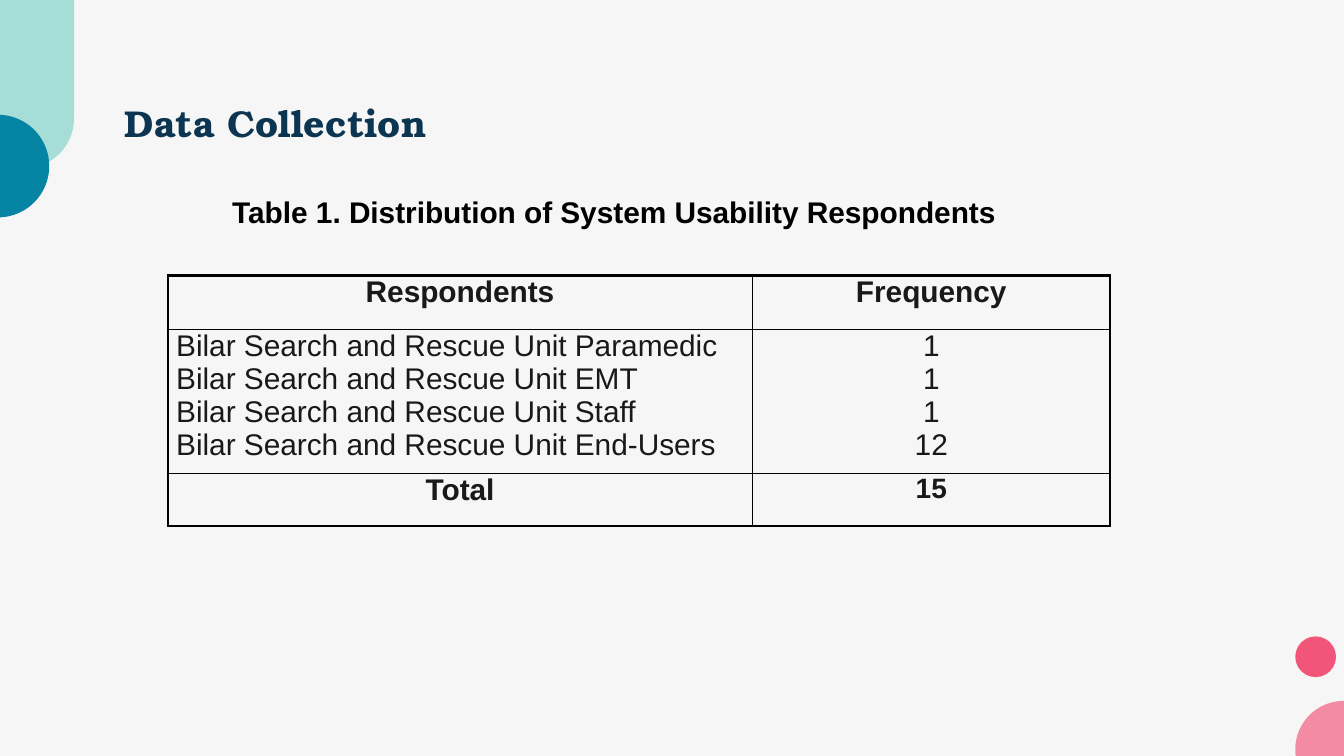
from lxml import etree
from pptx import Presentation, util as u
from pptx.dml.color import RGBColor
from pptx.enum import shapes, text
from pptx.oxml import ns

Cm, Pt = u.Cm, u.Pt
CENTER, LEFT = text.PP_ALIGN.CENTER, text.PP_ALIGN.LEFT


def color(value):
    return RGBColor.from_string(value)


def write(frame, lines, align, name, size, ink, bold):
    for number, line in enumerate(lines):
        paragraph = frame.paragraphs[0] if number == 0 else frame.add_paragraph()
        paragraph.alignment = align
        run = paragraph.add_run()
        run.text = line
        for key, value in {"name": name, "size": Pt(size), "bold": bold}.items():
            setattr(run.font, key, value)
        run.font.color.rgb = color(ink)


presentation = Presentation()
presentation.slide_width, presentation.slide_height = Cm(25.4), Cm(14.29)
slide = presentation.slides.add_slide(presentation.slide_layouts[5])
slide.background.fill.solid()
slide.background.fill.fore_color.rgb = color("F6F6F6")

OVAL, ROUNDED = shapes.MSO_SHAPE.OVAL, shapes.MSO_SHAPE.ROUNDED_RECTANGLE
decorations = [
    (OVAL, 24.48, 12.03, 0.77, 0.77, "F2557A", 100),
    (ROUNDED, -0.48, -1.9, 1.88, 5.08, "74CEC4", 61),
    (OVAL, -1.01, 2.17, 1.94, 1.94, "0584A4", 100),
    (OVAL, 24.48, 13.25, 1.83, 1.83, "F2557A", 66),
]
for kind, left, top, width, height, fill, opacity in decorations:
    shape = slide.shapes.add_shape(kind, Cm(left), Cm(top), Cm(width), Cm(height))
    shape.shadow.inherit = False
    shape.line.fill.background()
    shape.fill.solid()
    shape.fill.fore_color.rgb = color(fill)
    if kind == ROUNDED:
        shape.adjustments[0] = 0.5
    if opacity < 100:
        solid = shape.fill._xPr.find(ns.qn("a:solidFill"))
        etree.SubElement(solid[0], ns.qn("a:alpha"), val=str(opacity * 1000))

title = slide.shapes.title
title_format = {"left": Cm(2.11), "top": Cm(1.65), "width": Cm(15.57), "height": Cm(1.5)}
for key, value in title_format.items():
    setattr(title, key, value)
frame_format = {
    "margin_left": Cm(0.25), "margin_right": Cm(0.25),
    "margin_top": Cm(0.25), "margin_bottom": Cm(0.25),
    "vertical_anchor": text.MSO_ANCHOR.TOP,
    "auto_size": text.MSO_AUTO_SIZE.NONE, "word_wrap": True,
}
for key, value in frame_format.items():
    setattr(title.text_frame, key, value)
write(title.text_frame, ["Data Collection"], LEFT, "TeX Gyre Bonum", 20, "0B3550", True)

units = ["Paramedic", "EMT", "Staff", "End-Users"]
rows = [
    (1.02, ["Respondents"], ["Frequency"]),
    (2.72, [f"Bilar Search and Rescue Unit {unit}" for unit in units], ["1", "1", "1", "12"]),
    (0.99, ["Total"], ["15"]),
]
table = slide.shapes.add_table(3, 2, Cm(3.17), Cm(5.21), Cm(17.81), Cm(4.73)).table
table.first_row = table.horz_banding = False
for column, width in zip(table.columns, (11.05, 6.76)):
    column.width = Cm(width)
for row, (height, *contents) in enumerate(rows):
    table.rows[row].height = Cm(height)
    for column, lines in enumerate(contents):
        cell = table.cell(row, column)
        is_list = row == 1 and column == 0
        for side in ("left", "right", "top", "bottom"):
            setattr(cell, f"margin_{side}", 0)
        cell.margin_left = Cm(0.16 if is_list else 0)
        size = 15 if lines == ["15"] else 16
        write(cell.text_frame, lines, LEFT if is_list else CENTER, "Arial", size, "191919", row != 1)
        cell.fill.background()
        borders = {"L": 1, "R": 1, "T": 1.5 if row == 0 else 1, "B": 1.5 if row == 2 else 1}
        for place, (side, weight) in enumerate(borders.items()):
            line = etree.Element(ns.qn(f"a:ln{side}"), w=str(Pt(weight)))
            solid = etree.SubElement(line, ns.qn("a:solidFill"))
            etree.SubElement(solid, ns.qn("a:srgbClr"), val="000000")
            cell._tc.get_or_add_tcPr().insert(place, line)

caption = slide.shapes.add_textbox(Cm(3.56), Cm(3.53), Cm(16.1), Cm(0.94))
caption.text_frame.word_wrap = True
caption.text_frame.auto_size = text.MSO_AUTO_SIZE.SHAPE_TO_FIT_TEXT
write(caption.text_frame, ["Table 1. Distribution of System Usability Respondents"],
      CENTER, "Arial", 16, "000000", True)

presentation.save("out.pptx")
